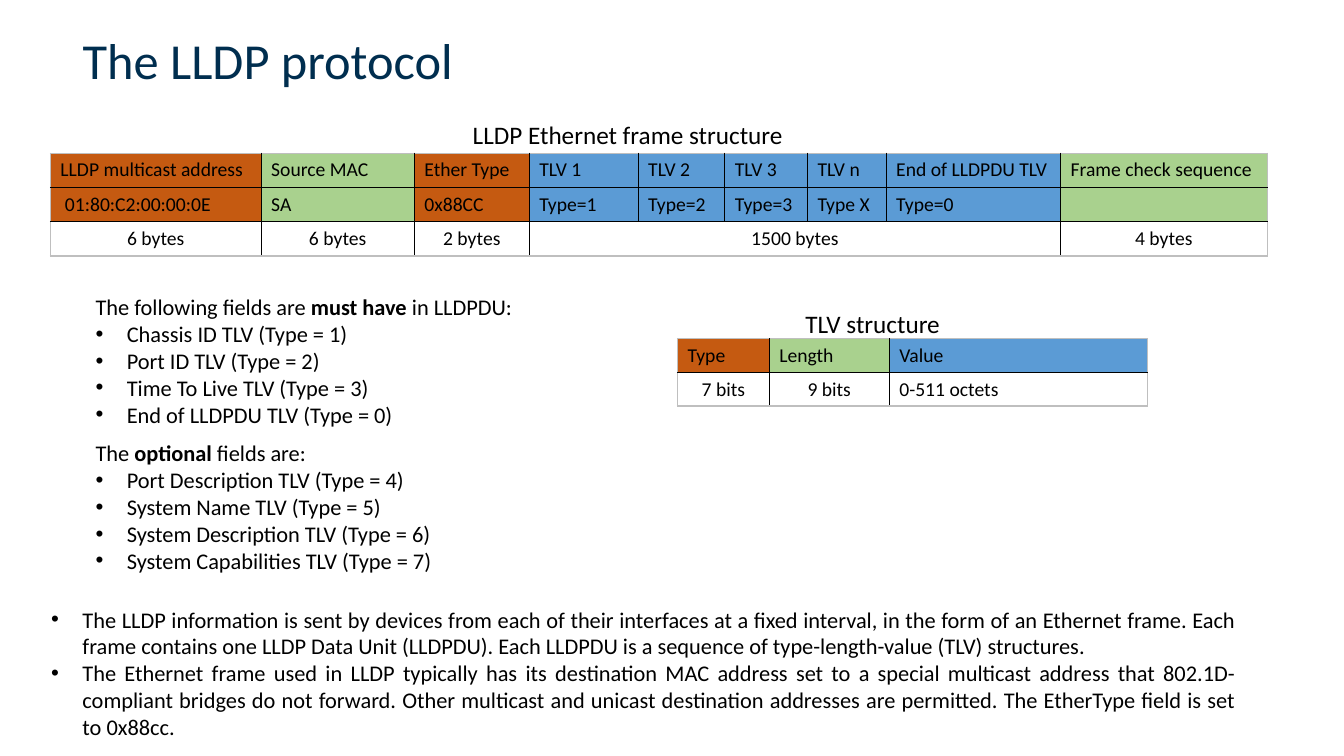
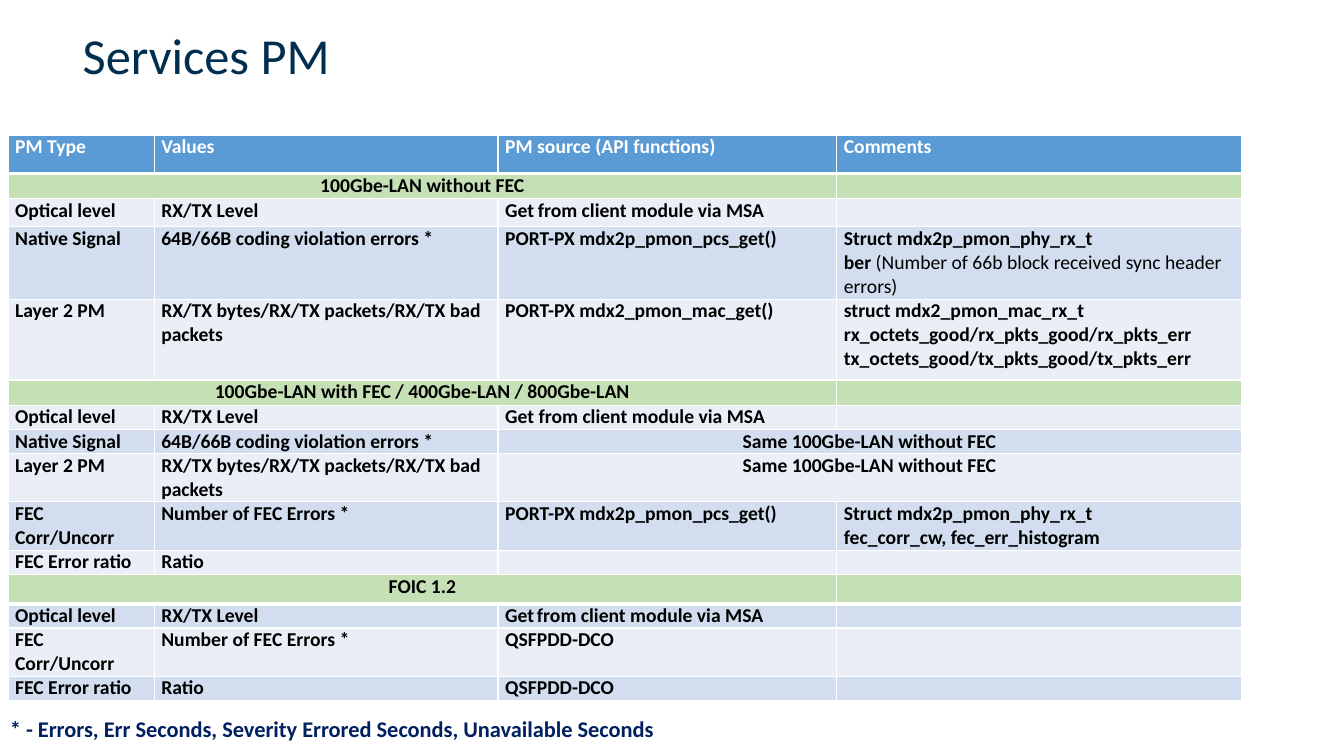
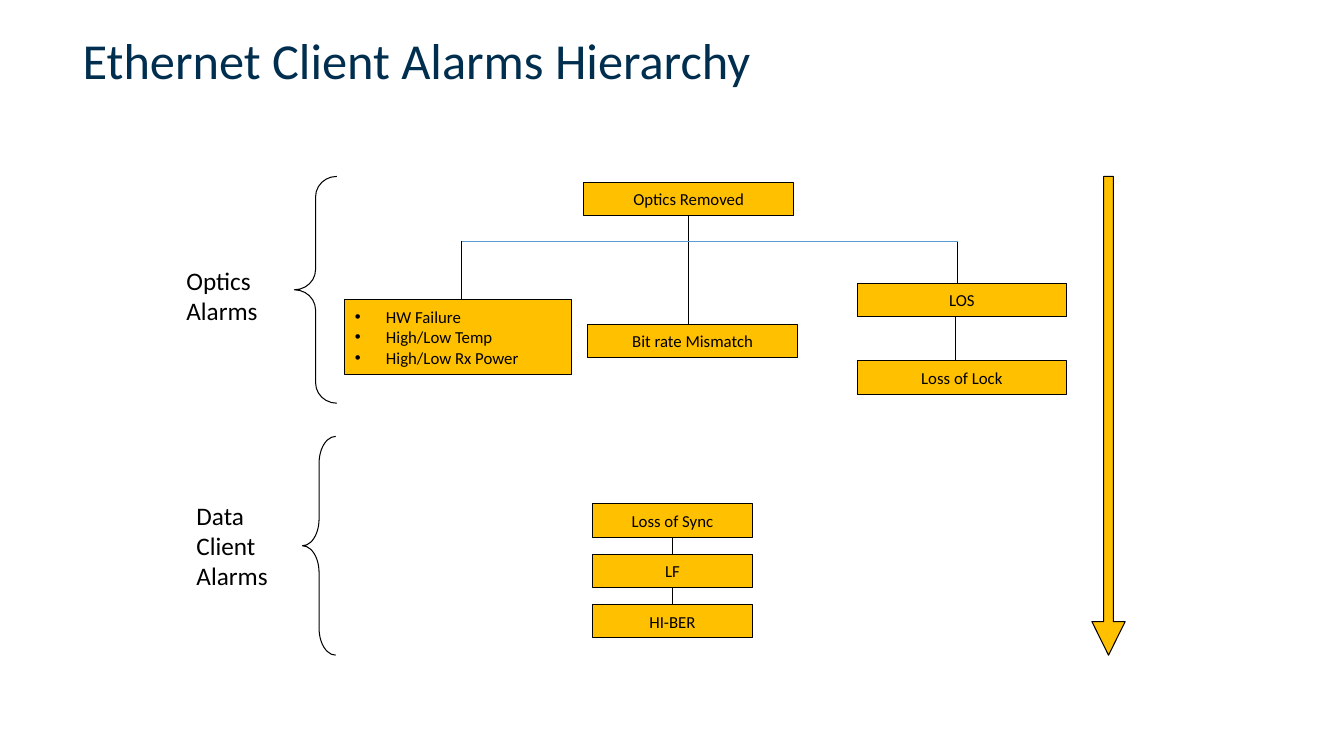
from lxml import etree
from pptx import Presentation
from pptx import util as u
from pptx.dml.color import RGBColor
from pptx.enum import shapes, text
from pptx.oxml import ns

FONT = "Calibri"
TITLE_COLOUR = RGBColor(0x00, 0x2E, 0x4F)
NOTE_COLOUR = RGBColor(0x00, 0x20, 0x60)
BLACK = RGBColor(0x00, 0x00, 0x00)
WHITE = RGBColor(0xFF, 0xFF, 0xFF)
GREY = RGBColor(0xBF, 0xBF, 0xBF)
ORANGE = RGBColor(0xC5, 0x5A, 0x11)
GREEN = RGBColor(0xA9, 0xD1, 0x8E)
PALE_GREEN = RGBColor(0xC5, 0xE0, 0xB4)
BLUE = RGBColor(0x5B, 0x9B, 0xD5)
BAND_DARK = RGBColor(0xD2, 0xDE, 0xEF)
BAND_LIGHT = RGBColor(0xEA, 0xEF, 0xF7)
AMBER = RGBColor(0xFF, 0xC0, 0x00)

LEFT, CENTRE, JUSTIFY = text.PP_ALIGN.LEFT, text.PP_ALIGN.CENTER, text.PP_ALIGN.JUSTIFY
BULLET_INDENT = 0.31
TOP_SIDE, BOTTOM_SIDE = 0, 2
SPAN = object()  # a table cell merged into the one on its left


def inches(*lengths):
    return [u.Inches(length) for length in lengths]


# ---- Text ----
def add_child(parent, tag, **attributes):
    child = etree.SubElement(parent, ns.qn(tag))
    for name, value in attributes.items():
        child.set(name, str(value))
    return child


def add_bullet(para):
    props = para._p.get_or_add_pPr()
    props.set("marL", str(u.Inches(BULLET_INDENT)))
    props.set("indent", str(-u.Inches(BULLET_INDENT)))
    add_child(props, "a:buFont", typeface="Arial")
    add_child(props, "a:buChar", char="•")


def write_para(para, spans, size, colour=BLACK, bold=False, align=LEFT):
    """Spans is a string, or a list of (text, font changes)."""
    para.alignment = align
    if isinstance(spans, str):
        spans = [(spans, {})]
    for words, changes in spans:
        span = para.add_run()
        span.text = words
        font = span.font
        font.name = changes.get("name", FONT)
        font.size = u.Pt(changes.get("size", size))
        font.bold = changes.get("bold", bold)
        font.color.rgb = colour


def write_lines(frame, lines, size, first_bullet=None, **style):
    """Lines from number first_bullet on get a bullet."""
    for number, spans in enumerate(lines):
        para = frame.paragraphs[0] if number == 0 else frame.add_paragraph()
        if first_bullet is not None and number >= first_bullet:
            add_bullet(para)
        write_para(para, spans, size, **style)


def add_text(page, box, lines, size, wrap=True, **style):
    frame = page.shapes.add_textbox(*inches(*box)).text_frame
    frame.word_wrap = wrap
    write_lines(frame, lines, size, **style)


# ---- Shared slide parts ----
def add_page(deck, title, top=0.09):
    page = deck.slides.add_slide(deck.slide_layouts[5])
    holder = page.shapes.title
    holder.left, holder.top, holder.width, holder.height = inches(0.72, top, 10.94, 0.99)
    frame = holder.text_frame
    frame.auto_size = text.MSO_AUTO_SIZE.NONE
    frame.vertical_anchor = text.MSO_ANCHOR.MIDDLE
    write_para(frame.paragraphs[0], title, 36, TITLE_COLOUR)
    return page


def set_borders(cell, colours, bottom_width):
    """Colours are for the left, right, top and bottom sides."""
    props = cell._tc.get_or_add_tcPr()
    for place, (side, colour) in enumerate(zip("LRTB", colours)):
        width = bottom_width if side == "B" else 1
        edge = add_child(props, "a:ln" + side, w=u.Pt(width))
        add_child(add_child(edge, "a:solidFill"), "a:srgbClr", val=colour)
        props.insert(place, edge)


def add_table(page, left, top, widths, heights, rows, fill_of, style_of,
              inner, outer, margins=None, head_line=1):
    """fill_of(row, column) gives a colour or None; style_of gives text style."""
    box = inches(left, top, sum(widths), sum(heights))
    table = page.shapes.add_table(len(rows), len(widths), *box).table
    table.first_row = table.horz_banding = False
    for column, width in zip(table.columns, widths):
        column.width = u.Inches(width)
    for row, height in zip(table.rows, heights):
        row.height = u.Inches(height)
    for r, row in enumerate(rows):
        for c, content in enumerate(row):
            cell = table.cell(r, c)
            fill = fill_of(r, c)
            if fill is None:
                cell.fill.background()
            else:
                cell.fill.solid()
                cell.fill.fore_color.rgb = fill
            at_edge = (c == 0, c == len(row) - 1, r == 0, r == len(rows) - 1)
            set_borders(cell, [outer if edge else inner for edge in at_edge],
                        head_line if r == 0 else 1)
            if margins:
                (cell.margin_left, cell.margin_top,
                 cell.margin_right, cell.margin_bottom) = inches(*margins)
            if content is SPAN:
                continue
            if not content:
                add_child(cell.text_frame.paragraphs[0]._p, "a:endParaRPr", sz=1400)
                continue
            lines = content if isinstance(content, tuple) else (content,)
            write_lines(cell.text_frame, lines, 14, **style_of(r, c))
            last = c
            while last + 1 < len(row) and row[last + 1] is SPAN:
                last += 1
            if last > c:
                cell.merge(table.cell(r, last))


# ---- Slide 1: protocol ----
def add_field_table(page, left, top, widths, height, rows, colours, centred):
    """The last row gives the field sizes and has no fill."""
    size_row = len(rows) - 1
    add_table(
        page, left, top, widths, [height] * len(rows), rows,
        fill_of=lambda r, c: None if r == size_row else colours[c],
        style_of=lambda r, c: {"align": CENTRE if r == size_row and c < centred else LEFT},
        inner=BLACK, outer=GREY)


def build_protocol(deck):
    page = add_page(deck, "The LLDP protocol")

    # Frame structure
    add_text(page, (4.59, 1.13, 3.29, 0.4), ["LLDP Ethernet frame structure"], 18, wrap=False)
    add_field_table(
        page, 0.5, 1.52, [2.09, 1.52, 1.14, 1.08, 0.86, 0.82, 0.78, 1.73, 2.05], 0.34,
        [["LLDP multicast address", "Source MAC", "Ether Type", "TLV 1", "TLV 2", "TLV 3",
          "TLV n", "End of LLDPDU TLV", "Frame check sequence"],
         [" 01:80:C2:00:00:0E", "SA", "0x88CC", "Type=1", "Type=2", "Type=3",
          "Type X", "Type=0", ""],
         ["6 bytes", "6 bytes", "2 bytes", "1500 bytes", SPAN, SPAN, SPAN, SPAN, "4 bytes"]],
        [ORANGE, GREEN, ORANGE] + [BLUE] * 5 + [GREEN], centred=9)

    # TLV structure
    add_text(page, (7.89, 3.01, 1.56, 0.4), ["TLV structure"], 18, wrap=False)
    add_field_table(
        page, 6.72, 3.36, [0.91, 1.19, 2.56], 0.33,
        [["Type", "Length", "Value"], ["7 bits", "9 bits", "0-511 octets"]],
        [ORANGE, GREEN, BLUE], centred=2)

    # Field lists
    strong = {"bold": True}
    add_text(page, (0.85, 2.86, 4.4, 1.45), [
        [("The following fields are ", {}), ("must have ", strong), ("in LLDPDU:", {})],
        "Chassis ID TLV (Type = 1)",
        "Port ID TLV (Type = 2)",
        "Time To Live TLV (Type = 3)",
        "End of LLDPDU TLV (Type = 0)"], 16, wrap=False, first_bullet=1)
    add_text(page, (0.85, 4.31, 6.67, 1.45), [
        [("The ", {}), ("optional", strong), (" fields are:", {})],
        "Port Description TLV (Type = 4)",
        "System Name TLV (Type = 5)",
        "System Description TLV (Type = 6)",
        "System Capabilities TLV (Type = 7)"], 16, first_bullet=1)

    # Explanation
    add_text(page, (0.41, 5.96, 11.95, 1.45), [
        "The LLDP information is sent by devices from each of their interfaces at a fixed "
        "interval, in the form of an Ethernet frame. Each frame contains one LLDP Data Unit "
        "(LLDPDU). Each LLDPDU is a sequence of type-length-value (TLV) structures.",
        "The Ethernet frame used in LLDP typically has its destination MAC address set to a "
        "special multicast address that 802.1D-compliant bridges do not forward. Other "
        "multicast and unicast destination addresses are permitted. The EtherType field is "
        "set to 0x88cc."], 16, first_bullet=0, align=JUSTIFY)


# ---- Slide 2: performance monitoring ----
def add_pm_table(page, top, heights, rows):
    def is_head(r):
        return rows[r][0] == "PM Type"

    def fill_of(r, c):
        if is_head(r):
            return BLUE
        if rows[r][1] is SPAN:
            return PALE_GREEN
        return BAND_DARK if r % 2 else BAND_LIGHT

    def style_of(r, c):
        spans = c + 1 < len(rows[r]) and rows[r][c + 1] is SPAN
        return {"bold": True, "colour": WHITE if is_head(r) else BLACK,
                "align": CENTRE if spans else LEFT}

    add_table(page, 0.08, top, [1.45, 3.41, 3.36, 4.01], heights, rows, fill_of, style_of,
              inner=WHITE, outer=WHITE, margins=(0.07, 0, 0.07, 0), head_line=3)


def build_services(deck):
    page = add_page(deck, "Services PM", top=0.04)

    def section(name):
        return [name, SPAN, SPAN, ""]

    def optical(space_size):
        source = [("Get", {}),
                  (" ", {"size": space_size, "name": "Times New Roman", "bold": False}),
                  ("from client module via MSA", {})]
        return ["Optical level", "RX/TX Level", source, ""]

    native = ["Native Signal", "64B/66B coding violation errors *"]
    layer_2 = ["Layer 2 PM", "RX/TX bytes/RX/TX packets/RX/TX bad packets"]
    fec_count = ["FEC Corr/Uncorr", "Number of FEC Errors *"]
    fec_ratio = ["FEC Error ratio", "Ratio"]
    same = ["Same 100Gbe-LAN without FEC", SPAN]
    pcs_source = "PORT-PX mdx2p_pmon_pcs_get()"
    phy_struct = "Struct mdx2p_pmon_phy_rx_t"
    module = ["QSFPDD-DCO", ""]

    # LAN services: every row is tall enough for its lines of text
    add_pm_table(
        page, 1.34, [0.38, 0.25, 0.28, 0.72, 0.8, 0.25, 0.24, 0.24, 0.48, 0.48, 0.24],
        [["PM Type", "Values", "PM source (API functions)", "Comments"],
         section("100Gbe-LAN without FEC"),
         optical(10.5),
         native + [pcs_source, (phy_struct, [
             ("ber ", {}),
             ("(Number of 66b block received sync header errors)", {"bold": False})])],
         layer_2 + ["PORT-PX mdx2_pmon_mac_get()", (
             "struct mdx2_pmon_mac_rx_t",
             "rx_octets_good/rx_pkts_good/rx_pkts_err",
             "tx_octets_good/tx_pkts_good/tx_pkts_err")],
         section("100Gbe-LAN with FEC / 400Gbe-LAN / 800Gbe-LAN"),
         ["Optical level", "RX/TX Level", "Get from client module via MSA", ""],
         native + same,
         layer_2 + same,
         fec_count + [pcs_source, (phy_struct, "fec_corr_cw, fec_err_histogram")],
         fec_ratio + ["", ""]])

    # FOIC service
    add_pm_table(page, 5.7, [0.29, 0.24, 0.48, 0.24],
                 [section("FOIC 1.2"), optical(8), fec_count + module, fec_ratio + module])

    add_text(page, (0, 7.05, 13.26, 0.37),
             ["* - Errors, Err Seconds, Severity Errored Seconds, Unavailable Seconds"],
             16, colour=NOTE_COLOUR, bold=True)


# ---- Slide 3: alarm hierarchy ----
def add_outline(page, kind, box, fill=None, adjust=()):
    shape = page.shapes.add_shape(kind, *inches(*box))
    shape.shadow.inherit = False
    if fill is None:
        shape.fill.background()
    else:
        shape.fill.solid()
        shape.fill.fore_color.rgb = fill
    shape.line.color.rgb = BLACK
    shape.line.width = u.Pt(0.75)
    for number, value in enumerate(adjust):
        shape.adjustments[number] = value
    return shape


def add_alarm(page, box, lines, **style):
    shape = add_outline(page, shapes.MSO_SHAPE.RECTANGLE, box, AMBER)
    frame = shape.text_frame
    frame.word_wrap = True
    frame.vertical_anchor = text.MSO_ANCHOR.MIDDLE
    write_lines(frame, lines, 12, **style)
    return shape


def add_line(page, start, end, colour=BLACK, width=0.75):
    line = page.shapes.add_connector(shapes.MSO_CONNECTOR.STRAIGHT, *inches(*start, *end))
    line.line.color.rgb = colour
    line.line.width = u.Pt(width)
    add_child(line._element.spPr, "a:effectLst")
    return line


def add_group_label(page, box, lines, brace_box, curve):
    add_text(page, box, lines, 18, wrap=False)
    add_outline(page, shapes.MSO_SHAPE.LEFT_BRACE, brace_box, adjust=(curve, 0.5))


def add_optics_tree(page, left, top):
    """Left and top are the corner of the root alarm."""
    width, height = 2.08, 0.33
    bus = top + 0.58
    trunk = left + width / 2

    def alarm(dx, dy, name):
        return add_alarm(page, (left + dx, top + dy, width, height), [name], align=CENTRE)

    root = alarm(0, 0, "Optics Removed")
    alarm(0.04, 1.41, "Bit rate Mismatch")
    alarm(2.71, 1, "LOS")
    alarm(2.71, 1.77, "Loss of Lock")
    add_alarm(page, (left - 2.37, top + 1.16, 2.25, 0.75),
              ["HW Failure", "High/Low Temp", "High/Low Rx Power"], first_bullet=0)

    stem = add_line(page, (trunk, top + height), (trunk, bus))
    stem.begin_connect(root, BOTTOM_SIDE)
    first, last = left - 1.21, left + 3.71
    for x, end in ((first, 1.16), (trunk, 1.41), (last, 1)):
        add_line(page, (x, bus), (x, top + end))
    add_line(page, (left + 3.69, top + 1 + height), (left + 3.69, top + 1.77))
    add_line(page, (first, bus), (last, bus), BLUE, 0.5)


def add_alarm_chain(page, left, top, names):
    above = None
    for number, name in enumerate(names):
        alarm = add_alarm(page, (left, top + 0.5 * number, 1.58, 0.33), [name], align=CENTRE)
        if above is not None:
            line = add_line(page, (left, top), (left, top))
            line.begin_connect(above, BOTTOM_SIDE)
            line.end_connect(alarm, TOP_SIDE)
        above = alarm


def build_alarms(deck):
    page = add_page(deck, "Ethernet Client Alarms Hierarchy")
    add_group_label(page, (1.75, 2.58, 0.91, 0.71), ["Optics", "Alarms"],
                    (2.92, 1.75, 0.42, 2.25), 0.48)
    add_group_label(page, (1.85, 4.91, 0.91, 1.01), ["Data", "Client", "Alarms"],
                    (3, 4.33, 0.33, 2.17), 0.81)
    add_optics_tree(page, 5.79, 1.81)
    add_alarm_chain(page, 5.88, 5, ["Loss of Sync", "LF", "HI-BER"])
    # Priority arrow
    add_outline(page, shapes.MSO_SHAPE.DOWN_ARROW, (10.83, 1.75, 0.33, 4.75), AMBER,
                (0.29, 1.01))


def main():
    deck = Presentation()
    deck.slide_width, deck.slide_height = inches(13.33, 7.5)
    build_protocol(deck)
    build_services(deck)
    build_alarms(deck)
    deck.save("out.pptx")


if __name__ == "__main__":
    main()
